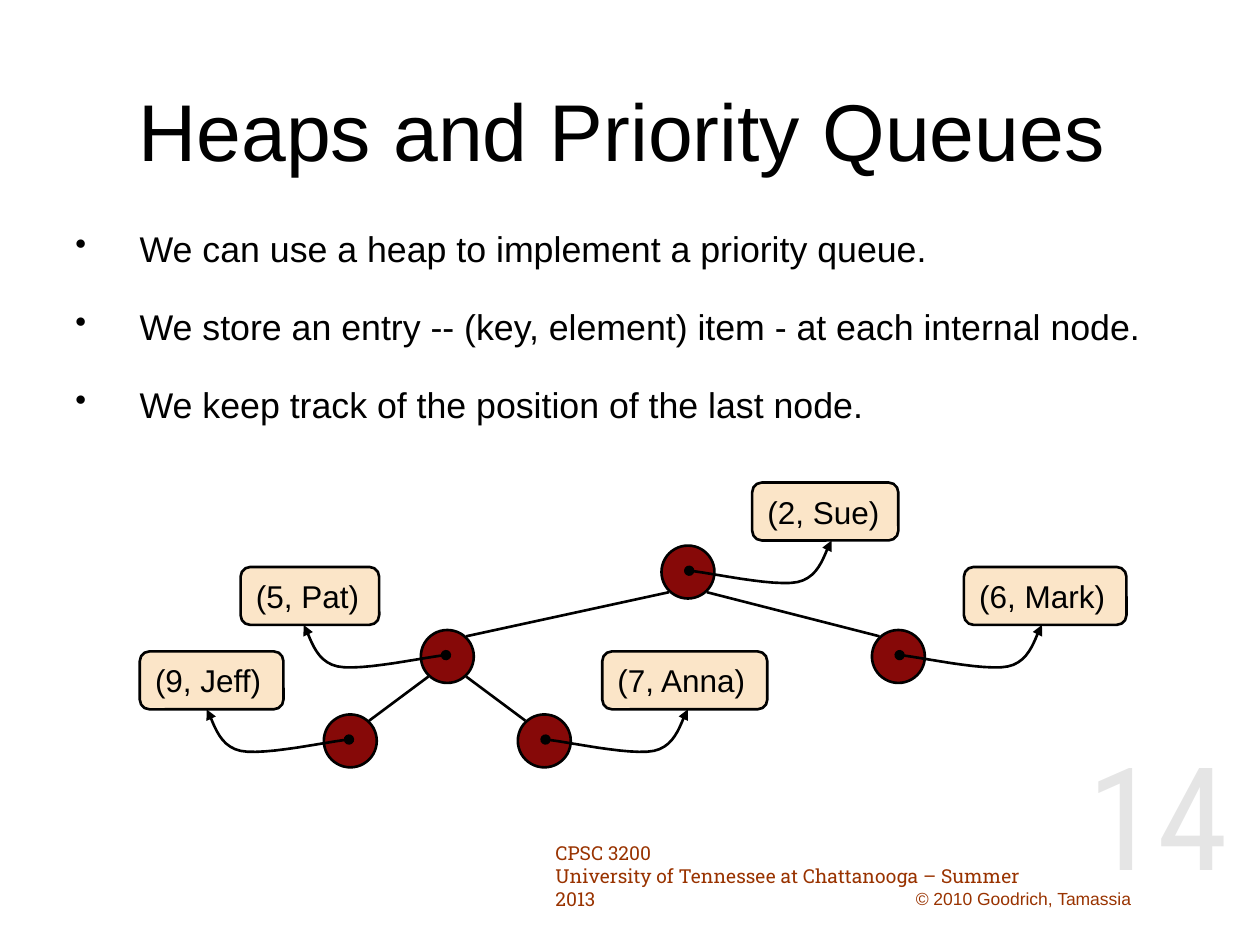
from collections import namedtuple

from lxml import etree
from pptx import Presentation
from pptx.dml.color import RGBColor
from pptx.enum.shapes import MSO_CONNECTOR, MSO_SHAPE
from pptx.enum.text import MSO_ANCHOR, MSO_AUTO_SIZE, PP_ALIGN
from pptx.oxml.ns import qn
from pptx.util import Inches, Pt

LEFT, RIGHT = PP_ALIGN.LEFT, PP_ALIGN.RIGHT
TOP, MIDDLE = MSO_ANCHOR.TOP, MSO_ANCHOR.MIDDLE
NO_AUTOFIT = MSO_AUTO_SIZE.NONE
OVAL, ROUND_RECT = MSO_SHAPE.OVAL, MSO_SHAPE.ROUNDED_RECTANGLE
STRAIGHT = MSO_CONNECTOR.STRAIGHT
BLACK, MAROON, CREAM, RUST = "000000", "860908", "FBE5C8", "993300"

NODE_SIZE, ROW_STEP, NODE_DROP = 0.42, 0.67, 0.5
LABEL_HEIGHT = 0.46
EDGE_DX, EDGE_DY = 0.15, 0.16

# side is the direction (1 right, -1 left) of the arrow from node to entry
Entry = namedtuple("Entry", "text node_left row label_left label_width side parent")
HEAP = [
    Entry("(2, Sue)", 4.14, 0, 4.86, 1.16, 1, None),
    Entry("(5, Pat)", 2.23, 1, 0.80, 1.10, -1, 0),
    Entry("(6, Mark)", 5.81, 1, 6.54, 1.29, 1, 0),
    Entry("(9, Jeff)", 1.46, 2, 0, 1.14, -1, 1),
    Entry("(7, Anna)", 3.00, 2, 3.67, 1.31, 1, 1),
]
# Two Bezier pieces of an arrow, as offsets from its start
ARROW_CURVES = [
    [(0, 0), (0.14, 0.01), (0.67, 0.13), (0.86, 0.09)],
    [(0.86, 0.09), (1.05, 0.05), (1.08, -0.17), (1.13, -0.24)],
]
CURVE_STEPS = 12

BULLETS = [
    "We can use a heap to implement a priority queue.",
    "We store an entry -- (key, element) item - at each internal node.",
    "We keep track of the position of the last node.",
]


def color(hex_string):
    return RGBColor.from_string(hex_string)


def style_font(paragraph, size, name, hex_string):
    paragraph.font.size = Pt(size)
    paragraph.font.name = name
    paragraph.font.color.rgb = color(hex_string)


def outline(line):
    line.color.rgb = color(BLACK)
    line.width = Pt(1.5)


def add_text(slide, box, lines, size, font, hex_string, anchor=MIDDLE, align=LEFT):
    frame = slide.shapes.add_textbox(*map(Inches, box)).text_frame
    frame.word_wrap = True
    frame.vertical_anchor = anchor
    frame.text = "\n".join(lines)
    for paragraph in frame.paragraphs:
        paragraph.alignment = align
        style_font(paragraph, size, font, hex_string)
    return frame


def add_title(slide, box, text):
    title = slide.shapes.title
    title.left, title.top, title.width, title.height = map(Inches, box)
    frame = title.text_frame
    frame.text = text
    frame.auto_size = NO_AUTOFIT
    frame.vertical_anchor = MIDDLE
    frame.paragraphs[0].alignment = LEFT
    style_font(frame.paragraphs[0], 46, "Arial", BLACK)


def add_bullets(slide, box, lines):
    frame = add_text(slide, box, [], 20.4, "Arial", BLACK, TOP)
    for index, line in enumerate(lines):
        paragraph = frame.add_paragraph() if index else frame.paragraphs[0]
        paragraph.text = line
        properties = paragraph._p.get_or_add_pPr()
        properties.set("marL", str(Inches(0.51)))
        properties.set("indent", str(-Inches(0.51)))
        for child in list(properties):
            properties.remove(child)
        etree.SubElement(properties, qn("a:buSzPct")).set("val", "90000")
        etree.SubElement(properties, qn("a:buChar")).set("char", "•")
        if index:
            paragraph.space_before = Pt(20)
        style_font(paragraph, 20.4, "Arial", BLACK)


def add_filled(slide, kind, box, hex_string):
    shape = slide.shapes.add_shape(kind, *map(Inches, box))
    shape.shadow.inherit = False
    shape.fill.solid()
    shape.fill.fore_color.rgb = color(hex_string)
    outline(shape.line)
    return shape


def add_edge(slide, parent, child):
    """Join two node centres from rim to rim."""
    toward = 1 if child[0] > parent[0] else -1
    ends = (parent[0] + toward * EDGE_DX, parent[1] + EDGE_DY,
            child[0] - toward * EDGE_DX, child[1] - EDGE_DY)
    edge = slide.shapes.add_connector(STRAIGHT, *map(Inches, ends))
    outline(edge.line)
    etree.SubElement(edge._element.spPr, qn("a:effectLst"))


def add_label(slide, box, text):
    label = add_filled(slide, ROUND_RECT, box, CREAM)
    label.adjustments[0] = 0.167
    frame = label.text_frame
    frame.text = text
    frame.vertical_anchor = MIDDLE
    frame.paragraphs[0].alignment = LEFT
    style_font(frame.paragraphs[0], 18, "Arial", BLACK)


def curve_point(controls, t):
    weights = ((1 - t) ** 3, 3 * t * (1 - t) ** 2, 3 * t ** 2 * (1 - t), t ** 3)
    return tuple(sum(w * p[axis] for w, p in zip(weights, controls))
                 for axis in (0, 1))


def add_arrow(slide, center, side):
    start_x, start_y = center[0] + side * 0.01, center[1] - 0.01
    points = []
    for controls in ARROW_CURVES:
        for step in range(1, CURVE_STEPS + 1):
            dx, dy = curve_point(controls, step / CURVE_STEPS)
            points.append((Inches(start_x + side * dx), Inches(start_y + dy)))
    builder = slide.shapes.build_freeform(Inches(start_x), Inches(start_y))
    builder.add_line_segments(points, close=False)
    arrow = builder.convert_to_shape()
    arrow.shadow.inherit = False
    arrow.fill.background()
    outline(arrow.line)
    line_xml = arrow.line._get_or_add_ln()
    for tag, kind in (("a:headEnd", "oval"), ("a:tailEnd", "triangle")):
        etree.SubElement(line_xml, qn(tag)).set("type", kind)


def add_heap(slide, left, top, entries):
    radius = NODE_SIZE / 2
    centers = [(left + e.node_left + radius,
                top + NODE_DROP + e.row * ROW_STEP + radius) for e in entries]
    for x, y in centers:
        add_filled(slide, OVAL, (x - radius, y - radius, NODE_SIZE, NODE_SIZE), MAROON)
    for entry, center in zip(entries, centers):
        if entry.parent is not None:
            add_edge(slide, centers[entry.parent], center)
    for entry, center in zip(entries, centers):
        add_label(slide, (left + entry.label_left, top + entry.row * ROW_STEP,
                          entry.label_width, LABEL_HEIGHT), entry.text)
        add_arrow(slide, center, entry.side)


def add_page_number(slide, box, number):
    frame = add_text(slide, box, [number], 82, "Roboto Condensed", BLACK, align=RIGHT)
    for rgb in frame._txBody.iter(qn("a:srgbClr")):
        etree.SubElement(rgb, qn("a:alpha")).set("val", "10000")


def add_footer(slide, course_box, copyright_box):
    course = add_text(
        slide, course_box,
        ["CPSC 3200", "University of Tennessee at Chattanooga – Summer 2013"],
        11, "Roboto Slab", RUST)
    course.margin_bottom = Inches(0.23)
    add_text(slide, copyright_box, ["© 2010 Goodrich, Tamassia"], 10, "Arial", RUST)


def main():
    deck = Presentation()
    deck.slide_width, deck.slide_height = Inches(10), Inches(7.5)
    slide = deck.slides.add_slide(deck.slide_layouts[5])
    add_title(slide, (1, 0.55, 8, 0.95), "Heaps and Priority Queues")
    add_bullets(slide, (0.5, 1.75, 8.92, 1.83), BULLETS)
    add_heap(slide, 1.11, 3.83, HEAP)
    add_footer(slide, (4.31, 6.9, 4.07, 0.28), (7.17, 6.93, 2.33, 0.4))
    add_page_number(slide, (8.23, 5.99, 1.62, 0.93), "14")
    deck.save("out.pptx")


if __name__ == "__main__":
    main()
